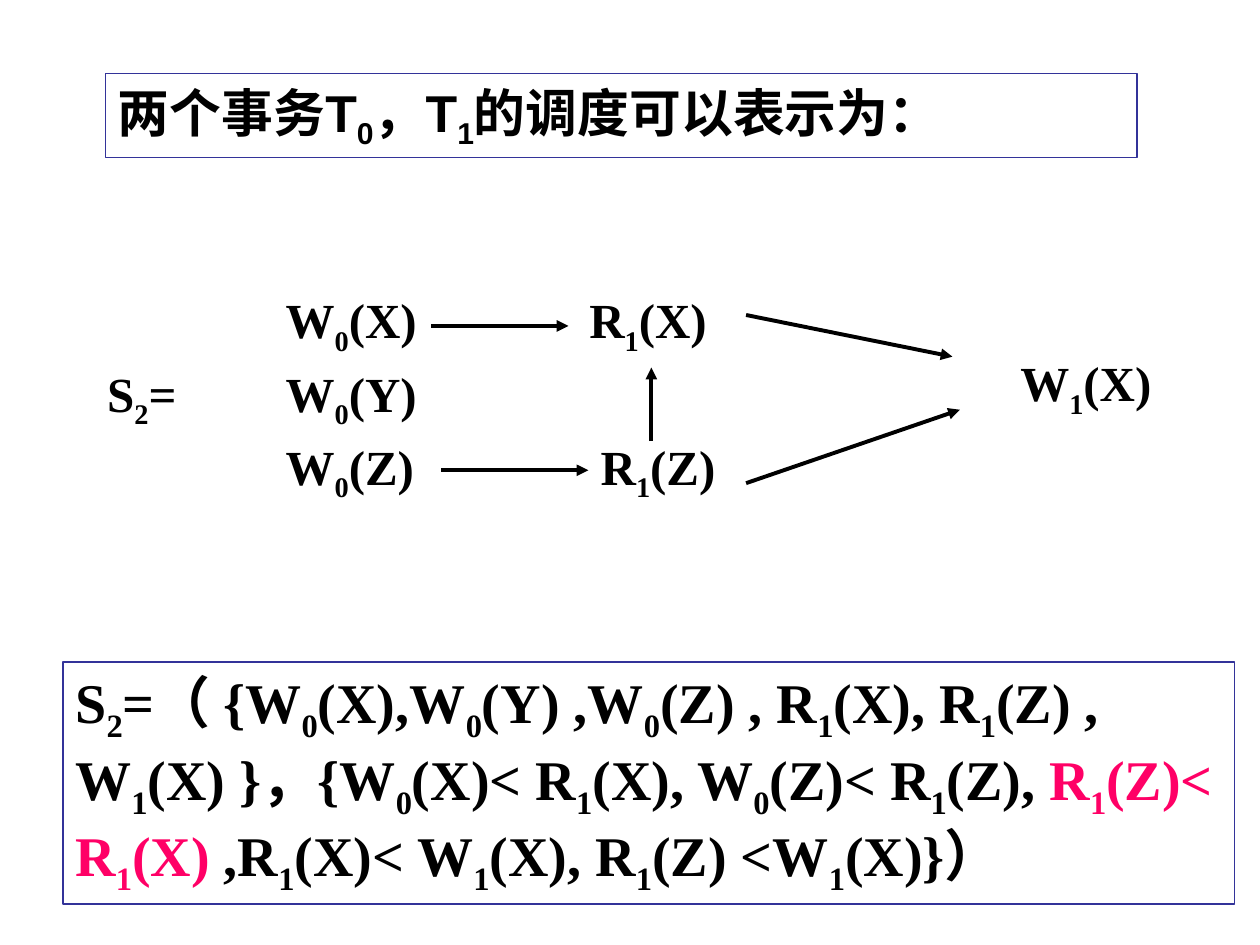
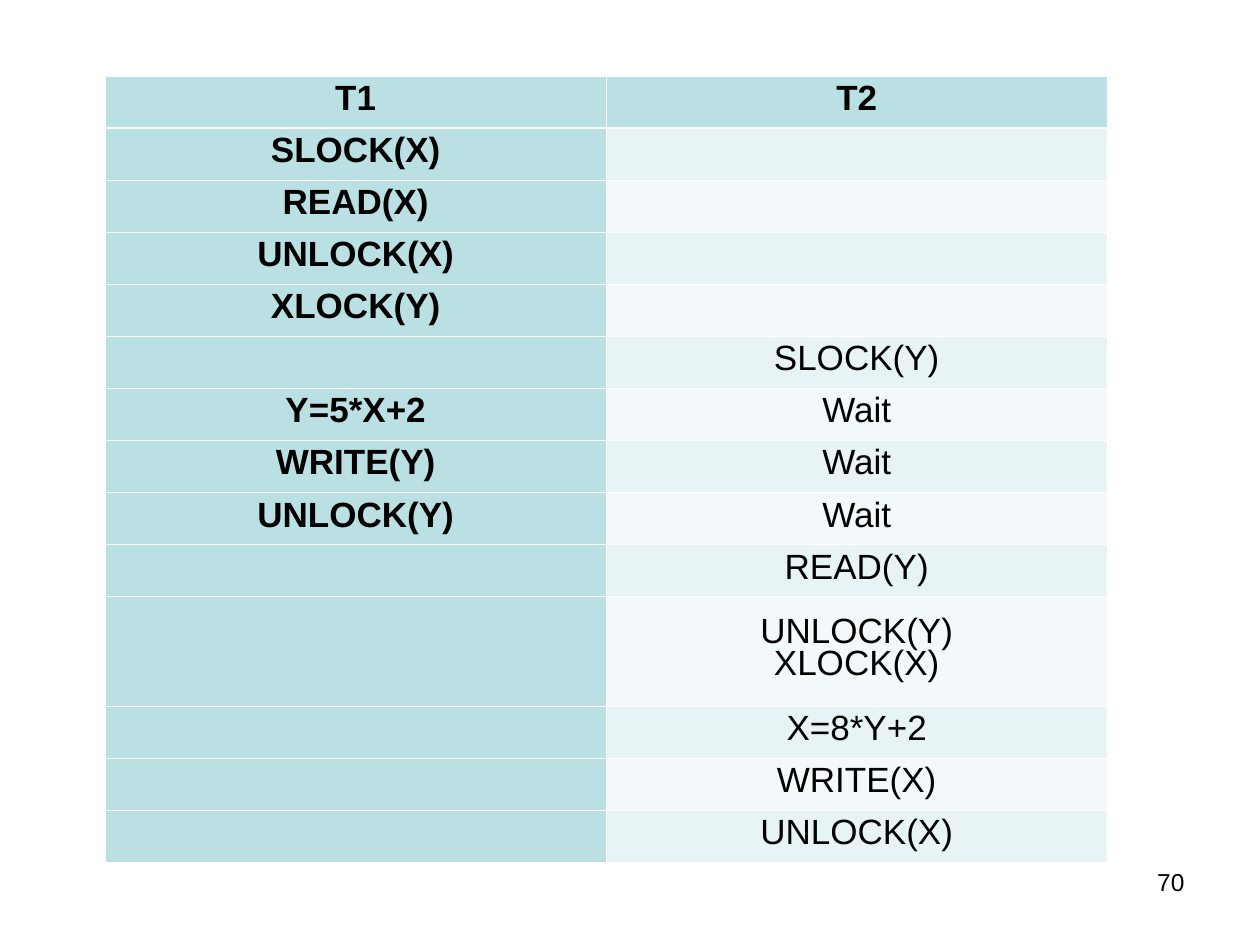
import pptx
import pptx.dml.color
import pptx.enum.shapes
import pptx.enum.text
import pptx.oxml
import pptx.oxml.ns
import pptx.util
from dataclasses import dataclass

Cm = pptx.util.Cm
Pt = pptx.util.Pt
RGB = pptx.dml.color.RGBColor.from_string
Align = pptx.enum.text.PP_ALIGN
Anchor = pptx.enum.text.MSO_ANCHOR
qn = pptx.oxml.ns.qn


@dataclass(frozen=True)
class Theme:
    text: str = "000000"
    paper: str = "FFFFFF"
    frame: str = "333399"
    highlight: str = "FF0066"
    header: str = "BBE0E3"
    odd_row: str = "E7F3F4"
    even_row: str = "F3F9FA"
    sans: str = "Arial"
    serif: str = "Times New Roman"
    title_size: float = 29.6
    formula_size: float = 32
    node_size: float = 28
    cell_size: float = 20
    number_size: float = 14


theme = Theme()


def apply_format(target, values):
    for name, value in values.items():
        setattr(target, name, value)


def write(paragraph, text, font_values, color=theme.text):
    """Add text in which the character after each underscore is a subscript."""
    first, *rest = text.split("_")
    pieces = [(first, False)]
    for part in rest:
        pieces += [(part[0], True), (part[1:], False)]
    for piece, is_subscript in pieces:
        if piece:
            run = paragraph.add_run()
            run.text = piece
            apply_format(run.font, font_values)
            run.font.color.rgb = RGB(color)
            if is_subscript:
                run._r.get_or_add_rPr().set("baseline", "-25000")


# Type styles
title_font = {"name": theme.sans, "size": Pt(theme.title_size), "bold": True}
formula_font = {"name": theme.serif, "size": Pt(theme.formula_size), "bold": True}
node_font = {"name": theme.serif, "size": Pt(theme.node_size), "bold": True}
cell_font = {"name": theme.sans, "size": Pt(theme.cell_size)}
number_font = {"name": theme.sans, "size": Pt(theme.number_size), "bold": False}
frame_values = {"word_wrap": True, "vertical_anchor": Anchor.TOP,
                "auto_size": pptx.enum.text.MSO_AUTO_SIZE.NONE}

presentation = pptx.Presentation()
apply_format(presentation, {"slide_width": Cm(25.4), "slide_height": Cm(19.05)})

# Slide 1: schedule of two transactions
slide = presentation.slides.add_slide(presentation.slide_layouts[5])
title = slide.shapes.title
apply_format(title, {"left": Cm(2.12), "top": Cm(1.48),
                     "width": Cm(20.8), "height": Cm(1.7)})
formula = slide.shapes.add_shape(pptx.enum.shapes.MSO_SHAPE.RECTANGLE,
                                 Cm(1.27), Cm(13.34), Cm(23.62), Cm(4.88))
formula.shadow.inherit = False

# Framed heading and formula
for box, line_width in ((title, 0.75), (formula, 1)):
    box.fill.solid()
    box.fill.fore_color.rgb = RGB(theme.paper)
    box.line.color.rgb = RGB(theme.frame)
    box.line.width = Pt(line_width)
    apply_format(box.text_frame, frame_values)
    box.text_frame.paragraphs[0].alignment = Align.LEFT
title.text_frame.vertical_anchor = Anchor.MIDDLE
write(title.text_frame.paragraphs[0], "两个事务T_0，T_1的调度可以表示为：", title_font)

formula_parts = (
    ("S_2=（ {W_0(X),W_0(Y) ,W_0(Z) , R_1(X), R_1(Z) , W_1(X) }，"
     "{W_0(X)< R_1(X), W_0(Z)< R_1(Z), ", theme.text),
    ("R_1(Z)< R_1(X)", theme.highlight),
    (" ,R_1(X)< W_1(X), R_1(Z) <W_1(X)}）", theme.text),
)
for text, color in formula_parts:
    write(formula.text_frame.paragraphs[0], text, formula_font, color)

# Operations of the precedence graph
graph = slide.shapes.add_group_shape()
row_tops = [5.72 + 1.48 * row for row in range(3)]
operations = (
    ("S_2=", 1.91, row_tops[1]),
    ("W_0(X)", 5.51, row_tops[0]),
    ("W_0(Y)", 5.51, row_tops[1]),
    ("W_0(Z)", 5.51, row_tops[2]),
    ("R_1(X)", 11.63, row_tops[0]),
    ("R_1(Z)", 11.86, row_tops[2]),
    ("W_1(X)", 20.32, 6.99),
)
nodes = {}
for text, left, top in operations:
    node = graph.shapes.add_textbox(Cm(left), Cm(top), Cm(3.81), Cm(1.6))
    apply_format(node.text_frame, frame_values)
    write(node.text_frame.paragraphs[0], text, node_font)
    nodes[text] = node

# Precedence arrows; the last value names the operation an arrow is joined to
arrows = (
    (8.69, 6.57, 11.46, 6.57, None),
    (8.89, 9.48, 11.86, 9.48, "R_1(Z)"),
    (13.13, 8.89, 13.13, 7.41, None),
    (15.04, 6.35, 19.2, 7.19, None),
    (15.04, 9.74, 19.35, 8.26, None),
)
for *ends, target in arrows:
    arrow = graph.shapes.add_connector(pptx.enum.shapes.MSO_CONNECTOR.STRAIGHT,
                                       *(Cm(value) for value in ends))
    if target:
        arrow.end_connect(nodes[target], 1)
    arrow.line.color.rgb = RGB(theme.text)
    arrow.line.width = Pt(2.25)
    head = pptx.oxml.parse_xml(
        f'<a:tailEnd {pptx.oxml.ns.nsdecls("a")} type="triangle"/>')
    arrow.line._get_or_add_ln().append(head)
    arrow._element.spPr.append(
        pptx.oxml.parse_xml(f'<a:effectLst {pptx.oxml.ns.nsdecls("a")}/>'))

# Slide 2: locking table
slide = presentation.slides.add_slide(presentation.slide_layouts[6])
lock_steps = (
    ("T1", "T2"),
    ("SLOCK(X)", ""),
    ("READ(X)", ""),
    ("UNLOCK(X)", ""),
    ("XLOCK(Y)", ""),
    ("", "SLOCK(Y)"),
    ("Y=5*X+2", "Wait"),
    ("WRITE(Y)", "Wait"),
    ("UNLOCK(Y)", "Wait"),
    ("", "READ(Y)"),
    ("", "UNLOCK(Y)\nXLOCK(X)"),
    ("", "X=8*Y+2"),
    ("", "WRITE(X)"),
    ("", "UNLOCK(X)"),
)
table = slide.shapes.add_table(len(lock_steps), 2, Cm(2.12), Cm(1.53),
                               Cm(20.2), Cm(15.85)).table
cell_values = {"margin_left": Cm(0.18), "margin_right": Cm(0.18),
               "margin_top": Cm(0.13), "margin_bottom": Cm(0.13),
               "vertical_anchor": Anchor.MIDDLE}

for row_index, row_texts in enumerate(lock_steps):
    is_tall = any("\n" in text for text in row_texts)
    table.rows[row_index].height = Cm(2.2 if is_tall else 1.05)
    for column_index, text in enumerate(row_texts):
        cell = table.cell(row_index, column_index)
        apply_format(cell, cell_values)
        is_header = row_index == 0 or column_index == 0

        # White grid, heavier under the header row
        thick_side = {0: "lnB", 1: "lnT"}.get(row_index)
        for side in ("lnL", "lnR", "lnT", "lnB"):
            width = Pt(1.47 if side == thick_side else 0.45)
            cell._tc.get_or_add_tcPr().append(pptx.oxml.parse_xml(
                f'<a:{side} {pptx.oxml.ns.nsdecls("a")} w="{width}"><a:solidFill>'
                f'<a:srgbClr val="{theme.paper}"/></a:solidFill></a:{side}>'))
        band = theme.odd_row if row_index % 2 else theme.even_row
        cell.fill.solid()
        cell.fill.fore_color.rgb = RGB(theme.header if is_header else band)

        for line_index, line in enumerate(text.split("\n")):
            frame = cell.text_frame
            paragraph = frame.add_paragraph() if line_index else frame.paragraphs[0]
            apply_format(paragraph, {"alignment": Align.CENTER,
                                     "line_spacing": Pt(18)})
            write(paragraph, line, {**cell_font, "bold": is_header})

# Page number
number = slide.shapes.add_textbox(Cm(18.2), Cm(17.36), Cm(5.93), Cm(1.32))
apply_format(number.text_frame, frame_values)
number.text_frame.paragraphs[0].alignment = Align.RIGHT
write(number.text_frame.paragraphs[0], "70", number_font)

presentation.save("out.pptx")
